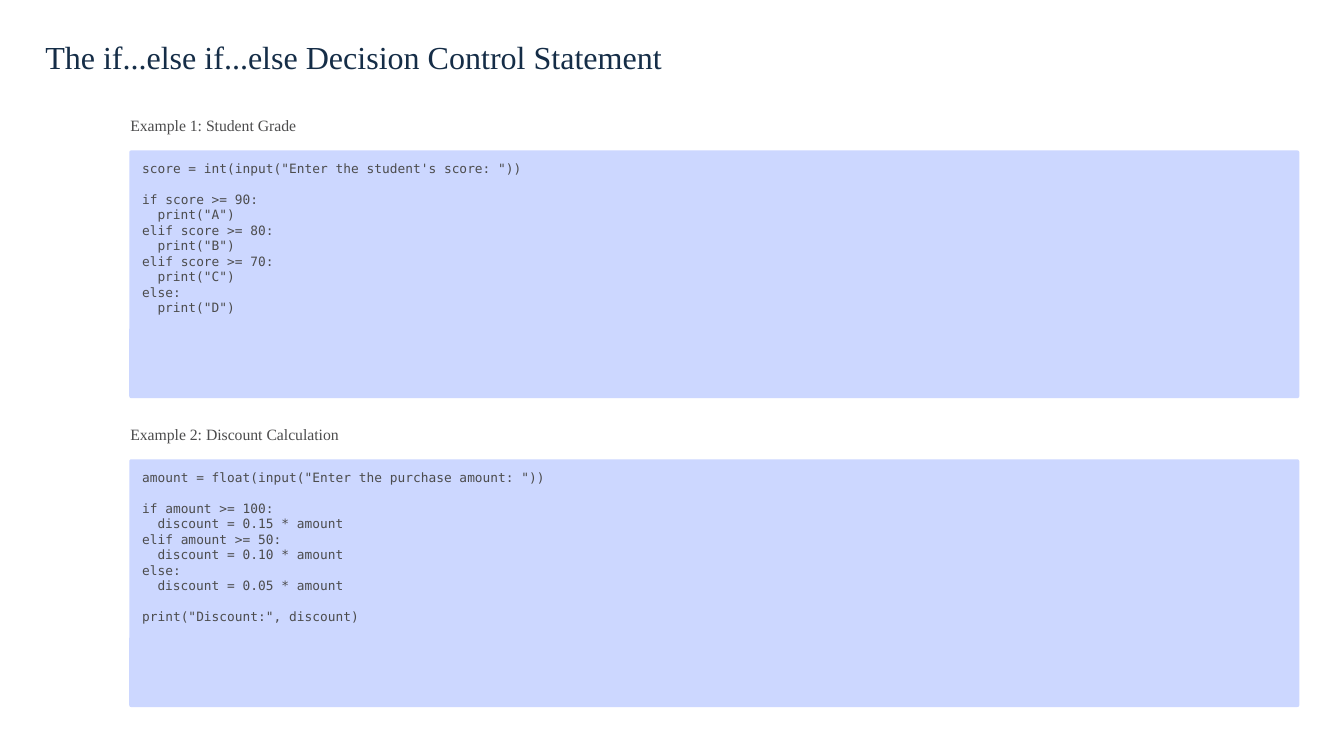
from pptx import Presentation
from pptx.dml.color import RGBColor
from pptx.enum.shapes import MSO_SHAPE
from pptx.enum.text import MSO_ANCHOR, MSO_AUTO_SIZE, PP_ALIGN
from pptx.util import Cm, Pt

ROUND = MSO_SHAPE.ROUNDED_RECTANGLE
TOP = MSO_ANCHOR.TOP
LEFT = PP_ALIGN.LEFT
FIXED = MSO_AUTO_SIZE.NONE

COLORS = {"title": "152D47", "text": "4C4C4D", "panel": "CCD7FF"}
SERIF, MONO = "Times New Roman", "DejaVu Sans Mono"
CODE_LINE = Pt(13.25)
INDENT = Pt(6.62)  # width of one code character

GRADE = """score = int(input("Enter the student's score: "))

if score >= 90:
  print("A")
elif score >= 80:
  print("B")
elif score >= 70:
  print("C")
else:
  print("D")"""

DISCOUNT = """amount = float(input("Enter the purchase amount: "))

if amount >= 100:
  discount = 0.15 * amount
elif amount >= 50:
  discount = 0.10 * amount
else:
  discount = 0.05 * amount

print("Discount:", discount)"""

EXAMPLES = [
    ("Example 1: Student Grade", GRADE),
    ("Example 2: Discount Calculation", DISCOUNT),
]


def color(name):
    return RGBColor.from_string(COLORS[name])


def set_frame(frame, side=0, top=0):
    frame.word_wrap = True
    frame.auto_size = FIXED
    frame.vertical_anchor = TOP
    frame.margin_left = frame.margin_right = Cm(side)
    frame.margin_top = frame.margin_bottom = Cm(top)


def style(para, font, size, tint, line):
    para.alignment = LEFT
    para.line_spacing = line
    for run in para.runs:
        run.font.name = font
        run.font.size = Pt(size)
        run.font.color.rgb = color(tint)


def add_title(slide, x, y, w, h):
    title = slide.shapes.title
    title.left, title.top, title.width, title.height = Cm(x), Cm(y), Cm(w), Cm(h)
    frame = title.text_frame
    set_frame(frame)
    frame.text = "The if...else if...else Decision Control Statement"
    style(frame.paragraphs[0], SERIF, 27.5, "title", Pt(34.5))


def fill_code(frame, code):
    """Write code lines; blank lines become spacing, leading spaces an indent."""
    gap = False
    first = True
    for line in code.split("\n"):
        if not line:
            gap = True
            continue
        para = frame.paragraphs[0] if first else frame.add_paragraph()
        para.text = line.lstrip()
        depth = len(line) - len(para.text)
        para._p.get_or_add_pPr().set("marL", str(depth * INDENT))
        para.space_before = CODE_LINE if gap else Pt(0)
        style(para, MONO, 11, "text", CODE_LINE)
        gap = first = False


def add_example(slide, x, y, w, h, head, code):
    label = slide.shapes.add_textbox(Cm(x + 0.03), Cm(y), Cm(w / 2), Cm(0.61))
    set_frame(label.text_frame)
    label.text_frame.text = head
    style(label.text_frame.paragraphs[0], SERIF, 13.5, "text", Pt(17))

    drop = 1.07
    panel = slide.shapes.add_shape(ROUND, Cm(x), Cm(y + drop), Cm(w), Cm(h - drop))
    panel.adjustments[0] = 0.008
    panel.shadow.inherit = False
    panel.fill.solid()
    panel.fill.fore_color.rgb = color("panel")
    panel.line.fill.background()
    set_frame(panel.text_frame, 0.37, 0.29)
    fill_code(panel.text_frame, code)


def main():
    deck = Presentation()
    deck.slide_width, deck.slide_height = Cm(40.64), Cm(22.86)
    slide = deck.slides.add_slide(deck.slide_layouts[5])
    add_title(slide, 1.37, 1.09, 19.2, 1.22)
    for i, (head, code) in enumerate(EXAMPLES):
        add_example(slide, 3.91, 3.48 + i * 9.34, 35.38, 8.56, head, code)
    deck.save("out.pptx")


if __name__ == "__main__":
    main()
